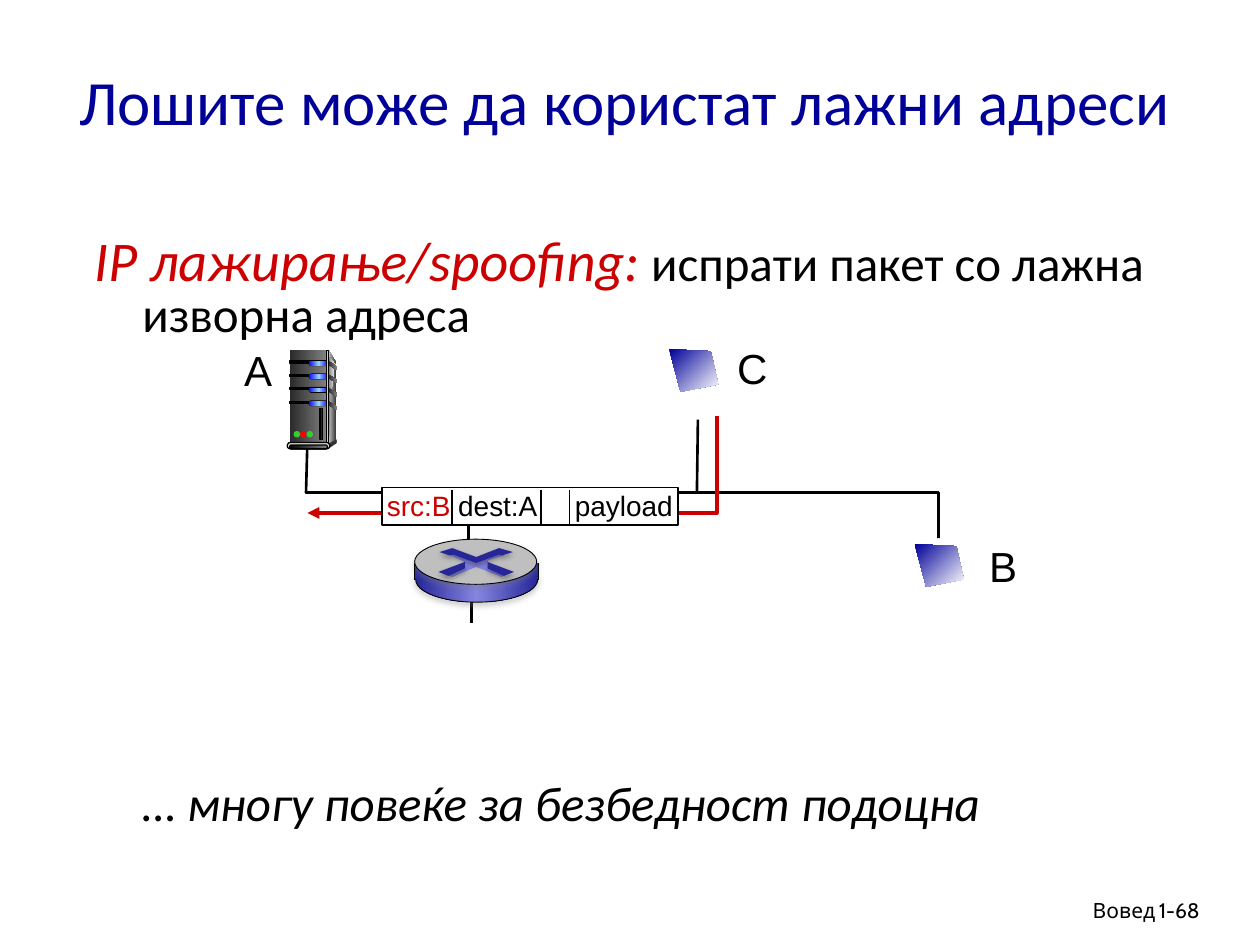
"""Build the slide on address spoofing with its small network drawing."""
from copy import deepcopy

from lxml import etree
from pptx import Presentation
from pptx.dml.color import RGBColor
from pptx.enum.shapes import MSO_CONNECTOR, MSO_SHAPE
from pptx.enum.text import MSO_ANCHOR, PP_ALIGN
from pptx.oxml.ns import qn
from pptx.util import Cm, Pt

RECT, OVAL, PILL = MSO_SHAPE.RECTANGLE, MSO_SHAPE.OVAL, MSO_SHAPE.ROUNDED_RECTANGLE
STRAIGHT = MSO_CONNECTOR.STRAIGHT
TOP, MIDDLE = MSO_ANCHOR.TOP, MSO_ANCHOR.MIDDLE
LEFT, CENTER, RIGHT = PP_ALIGN.LEFT, PP_ALIGN.CENTER, PP_ALIGN.RIGHT
LINE, WIRE, ARROW, OUTLINE = "line", "wire", "arrow", "outline"
BLACK, WHITE, RED, NAVY = "000000", "FFFFFF", "CC0000", "000099"
STEEL = ["292929", "808080"]
GLOW = ["0000FF", "99CCFF", "0000FF"]
ROUTER = ["262699", "8585E0", "262699"]

deck = Presentation()
deck.slide_width, deck.slide_height = Cm(25.4), Cm(19.05)
slide = deck.slides.add_slide(deck.slide_layouts[6])


def paint(fill, colors, angle=0):
    """Fill with nothing, one colour, or an even gradient of several."""
    if not colors:
        fill.background()
    elif isinstance(colors, str):
        fill.solid()
        fill.fore_color.rgb = RGBColor.from_string(colors)
    else:
        fill.gradient()
        fill.gradient_angle = angle
        stops = fill._xPr.find(".//" + qn("a:gsLst"))
        for _ in colors[2:]:
            stops.append(deepcopy(stops[0]))
        for index, stop in enumerate(fill.gradient_stops):
            stop.position = index / (len(colors) - 1)
            stop.color.rgb = RGBColor.from_string(colors[index])


def write(text, place=None, para=None, font="Calibri", size=28, color=BLACK,
          italic=False, align=LEFT, anchor=TOP, wrap=True):
    """Add text to a paragraph, or to a new box at the given place."""
    if para is None:
        frame = slide.shapes.add_textbox(*map(Cm, place)).text_frame
        frame.word_wrap, frame.vertical_anchor = wrap, anchor
        para = frame.paragraphs[0]
        para.alignment = align
    span = para.add_run()
    span.text = text
    span.font.name, span.font.size, span.font.italic = font, Pt(size), italic
    paint(span.font.fill, color)
    return para


write("Вовед", (15.49, 17.96, 8.05, 0.79), font="Cabin", size=12, align=RIGHT)
write("1-68", (23.11, 17.96, 1.88, 0.76), font="Cabin", size=12)
write("Лошите може да користат лажни адреси", (1.35, 0.71, 23.34, 2.64),
      size=36, color=NAVY, anchor=MIDDLE)
body = write("IP лажирање/spoofing:", (1.65, 4.62, 22.43, 4.11),
             size=32, color=RED, italic=True)
body.line_spacing = 0.85
indents = body._p.get_or_add_pPr()
indents.set("marL", str(Cm(0.97)))
indents.set("indent", str(Cm(-0.97)))
write(" ", para=body, color="FF3300", italic=True)
write("испрати пакет со лажна изворна адреса", para=body)
write("… многу повеќе за безбедност подоцна", (2.62, 15.44, 18.14, 1.45),
      italic=True, wrap=False)
for name, left, top in [("A", 4.67, 6.83), ("B", 19.69, 10.77), ("C", 14.61, 6.78)]:
    write(name, (left, top, 1.07, 1.27), font="Arial", size=24, align=CENTER, wrap=False)

# Each part: kind, geometry, fill, line colour, line width, shadow colour
parts = [
    (WIRE, [(6.2, 8.81), (6.17, 9.93), (18.92, 9.93), (18.92, 10.85)], None, BLACK, 1.5, None),
    (WIRE, [(14.05, 9.91), (14.07, 8.46)], None, BLACK, 1.5, None),
    (LINE, (9.45, 10.95, 9.45, 9.91), None, BLACK, 1.5, None),
    (LINE, (9.5, 12.55, 9.5, 11.89), None, BLACK, 1.5, None),
    (ARROW, [(14.45, 8.38), (14.45, 10.34), (6.2, 10.34)], None, RED, 2.25, None),
    (RECT, (7.7, 9.83, 5.97, 0.76), WHITE, BLACK, 1, None),
]
for x in (9.12, 10.9, 11.48):
    parts.append((LINE, (x, 9.87, x, 10.6), None, BLACK, 1, None))
for x, y in [(13.49, 7.04), (18.44, 10.97)]:
    screen = [(x, y), (x + 0.84, y + 0.04), (x + 0.99, y + 0.71), (x + 0.23, y + 0.86)]
    parts.append((OUTLINE, screen, [NAVY, WHITE], None, 0, None))

parts += [
    (OUTLINE, [(6.63, 7.06), (6.78, 7.32), (6.78, 8.89), (6.6, 8.97)],
     ["DDDDDD", "333333"], None, 0, None),
    (RECT, (5.84, 7.06, 0.74, 1.88), STEEL, None, 0, None),
    (OUTLINE, [(6.63, 7.19), (6.76, 7.34), (6.65, 8.1), (6.63, 8.92)],
     ["808080", "F8F8F8"], None, 0, None),
]
for bay in range(4):
    y = 7.28 + 0.27 * bay
    vent = [(6.62, y), (6.79, y + 0.1), (6.79, y + 0.18), (6.62, y + 0.07)]
    parts += [
        (OUTLINE, vent, STEEL, None, 0, None),
        (RECT, (5.84, y, 0.43, 0.04), BLACK, BLACK, 0.75, None),
        (PILL, (6.22, y - 0.02, 0.41, 0.12), BLACK, None, 0, None),
        (PILL, (6.22, y, 0.41, 0.09), GLOW, None, 0, None),
    ]
parts += [
    (RECT, (6.58, 7.06, 0.05, 1.88), ["333333", "DDDDDD", "333333"], BLACK, 0.75, None),
    (OVAL, (6.76, 8.86, 0.03, 0.08), "333333", None, 0, None),
    (OUTLINE, [(6.63, 8.94), (6.63, 9.04), (6.78, 8.94), (6.78, 8.86)],
     "333333", None, 0, None),
    (PILL, (5.79, 8.92, 0.86, 0.13), "DDDDDD", BLACK, 0.75, None),
    (PILL, (5.84, 8.97, 0.76, 0.08), [BLACK, "808080"], BLACK, 0.75, None),
    (RECT, (6.45, 8.23, 0.05, 0.63), "292929", BLACK, 0.75, None),
]
for lamp, color in enumerate(["33CC33", "FF0000", "33CC33"]):
    parts.append((OVAL, (5.92 + 0.13 * lamp, 8.69, 0.13, 0.13), color, None, 0, None))

parts += [
    (OVAL, (8.38, 11.23, 2.46, 0.91), ROUTER, BLACK, 0.5, "808080"),
    (RECT, (8.36, 11.35, 2.49, 0.33), ROUTER, None, 0, None),
    (OVAL, (8.36, 10.87, 2.46, 0.91), "BFBFBF", BLACK, 0.5, "808080"),
    (OUTLINE, [(9.6, 11.43), (9.12, 11.63), (8.99, 11.58), (9.37, 11.46), (9.37, 11.33),
               (9.09, 11.2), (9.17, 11.18), (9.6, 11.33), (10.03, 11.15), (10.16, 11.2),
               (9.83, 11.3), (9.91, 11.48), (10.21, 11.58), (10.11, 11.63)],
     "8585E0", None, 0, None),
    (OUTLINE, [(8.86, 11.13), (9.12, 11.05), (9.6, 11.23), (10.06, 11.05), (10.34, 11.13),
               (10.11, 11.2), (10.06, 11.18), (9.6, 11.35), (9.14, 11.18), (9.07, 11.2)],
     "262699", None, 0, BLACK),
    (OUTLINE, [(9.83, 11.33), (10.36, 11.53), (10.16, 11.61), (9.83, 11.46)],
     "262699", None, 0, BLACK),
    (OUTLINE, [(9.37, 11.33), (9.37, 11.46), (9.04, 11.61), (8.84, 11.53)],
     "262699", None, 0, BLACK),
]
for x in (8.36, 10.85):
    parts.append((LINE, (x, 11.7, x, 11.35), None, BLACK, 0.5, "808080"))

for kind, geometry, fill, line, width, shade in parts:
    if kind == LINE:
        shape = slide.shapes.add_connector(STRAIGHT, *map(Cm, geometry))
    elif kind in (WIRE, ARROW, OUTLINE):
        points = [(Cm(x), Cm(y)) for x, y in geometry]
        builder = slide.shapes.build_freeform(*points[0])
        builder.add_line_segments(points[1:], close=kind == OUTLINE)
        shape = builder.convert_to_shape()
    else:
        shape = slide.shapes.add_shape(kind, *map(Cm, geometry))
        if kind == PILL:
            shape.adjustments[0] = 0.5
    if kind != LINE:
        paint(shape.fill, fill, angle=315 if fill == [NAVY, WHITE] else 0)
    paint(shape.line.fill, line)
    if line:
        shape.line.width = Pt(width)
    if kind == ARROW:
        etree.SubElement(shape.line._get_or_add_ln(), qn("a:tailEnd"), type="triangle")
    effects = etree.SubElement(shape._element.spPr, qn("a:effectLst"))
    if shade:
        shadow = etree.SubElement(effects, qn("a:outerShdw"), blurRad=str(Pt(3.1)),
                                  dist=str(Pt(1.8)), dir="5400000", rotWithShape="0")
        tint = etree.SubElement(shadow, qn("a:srgbClr"), val=shade)
        etree.SubElement(tint, qn("a:alpha"), val="35000")

packet = write("src:B", (7.55, 9.73, 7.2, 0.94), font="Arial", size=16, color=RED)
tabs = etree.SubElement(packet._p.get_or_add_pPr(), qn("a:tabLst"))
etree.SubElement(tabs, qn("a:tab"), pos=str(Cm(3.79)), algn="l")
write(" dest:A\tpayload", para=packet, font="Arial", size=16)

deck.save("out.pptx")
